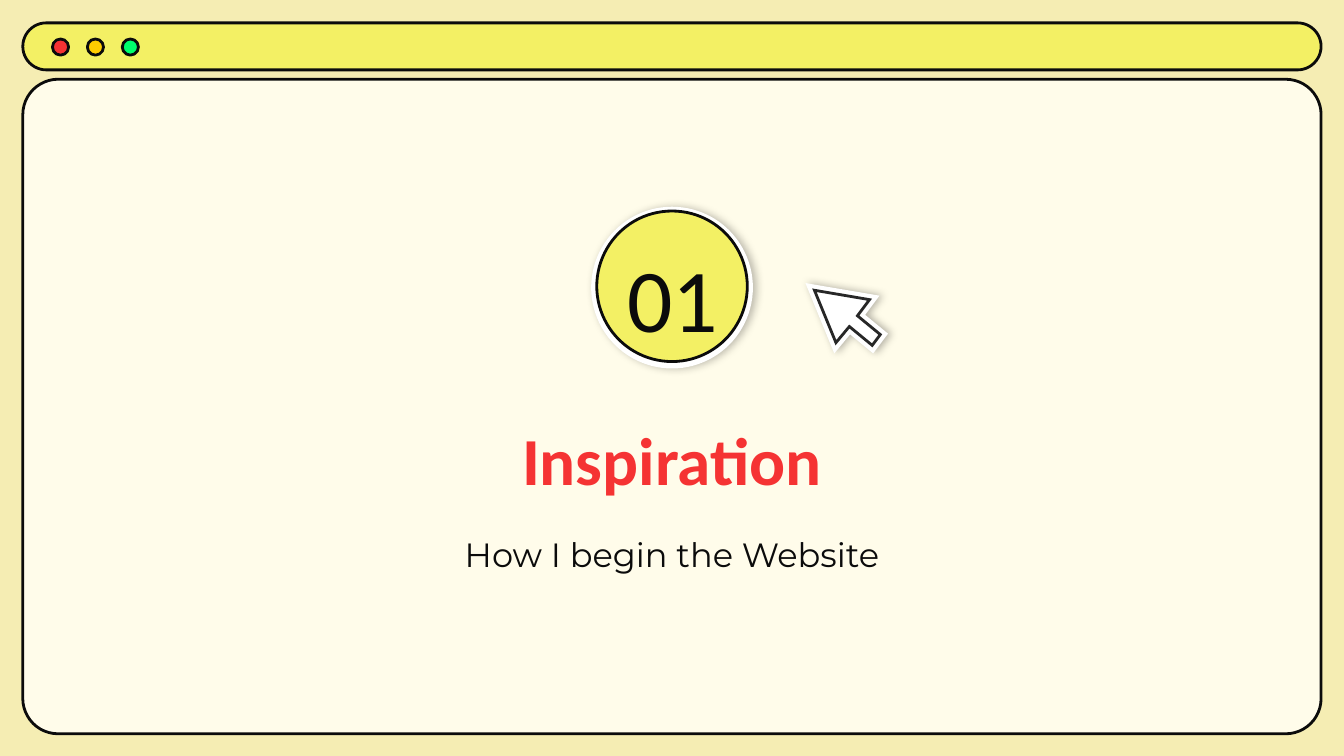
"""Build a browser-window section slide with a numbered badge and a cursor."""
import lxml.etree
import pptx
import pptx.dml.color
import pptx.enum.shapes
import pptx.enum.text
import pptx.oxml
import pptx.oxml.ns
import pptx.util

COLUMNS = 1000
CELL = pptx.util.Inches(0.01)
COLORS = {
    "backdrop": "F5EDB3",
    "page": "FFFCEA",
    "yellow": "F3F064",
    "ink": "0B0B0B",
    "red": "F53333",
    "amber": "FFCC00",
    "green": "00FF6C",
    "white": "FFFFFF",
    "cursor": "272727",
    "shadow": "000000",
}
CURSOR = [(632, 243), (622, 255), (606, 216), (647, 223),
          (638, 235), (655, 249), (649, 257)]


def rgb(name):
    """Return the named colour."""
    return pptx.dml.color.RGBColor.from_string(COLORS[name])


def paint(shape, fill, line="ink", width=1.5):
    """Give a shape a flat fill and an outline without a shadow."""
    shape.shadow.inherit = False
    shape.fill.solid()
    shape.fill.fore_color.rgb = rgb(fill)
    shape.line.color.rgb = rgb(line)
    shape.line.width = pptx.util.Pt(width)


def add_soft_shadow(shape, opacity):
    """Fill the shape's effect list with a blurred outer shadow."""
    effects = shape._element.spPr.find(pptx.oxml.ns.qn("a:effectLst"))
    shadow = lxml.etree.SubElement(
        effects, pptx.oxml.ns.qn("a:outerShdw"),
        blurRad=str(pptx.util.Pt(4.5)), dist=str(pptx.util.Pt(1.5)),
        dir="0", algn="bl", rotWithShape="0")
    color = lxml.etree.SubElement(
        shadow, pptx.oxml.ns.qn("a:srgbClr"), val=COLORS["shadow"])
    lxml.etree.SubElement(
        color, pptx.oxml.ns.qn("a:alpha"), val=str(opacity * 1000))


def add_preset(slide, kind, box, fill, line="ink", width=1.5):
    """Add a preset shape on a grid box."""
    shape = slide.shapes.add_shape(kind, *(CELL * value for value in box))
    paint(shape, fill, line, width)
    return shape


def add_bar(slide, box, fill, rounding):
    """Add a window panel with rounded corners."""
    kind = pptx.enum.shapes.MSO_SHAPE.ROUNDED_RECTANGLE
    add_preset(slide, kind, box, fill).adjustments[0] = rounding


def add_circle(slide, left, top, size, *style):
    """Add a circle of the given diameter."""
    kind = pptx.enum.shapes.MSO_SHAPE.OVAL
    return add_preset(slide, kind, (left, top, size, size), *style)


def add_cursor(slide, line, width):
    """Add the mouse pointer outline with sharp corners."""
    builder = slide.shapes.build_freeform(*CURSOR[0], scale=CELL)
    builder.add_line_segments(CURSOR[1:], close=True)
    shape = builder.convert_to_shape()
    paint(shape, "white", line, width)
    lxml.etree.SubElement(
        shape.line._get_or_add_ln(), pptx.oxml.ns.qn("a:miter"), lim="800000")
    return shape


def add_text(slide, box, text, size, font, color="ink", bold=False, anchor="BOTTOM"):
    """Add a centred line of text on a grid box."""
    shape = slide.shapes.add_textbox(*(CELL * value for value in box))
    frame = shape.text_frame
    frame.word_wrap = True
    frame.vertical_anchor = getattr(pptx.enum.text.MSO_ANCHOR, anchor)
    frame.margin_left = frame.margin_right = CELL * 10
    frame.margin_top = frame.margin_bottom = CELL * 10
    frame.text = text
    paragraph = frame.paragraphs[0]
    paragraph.alignment = pptx.enum.text.PP_ALIGN.CENTER
    run_font = paragraph.runs[0].font
    run_font.name = font
    run_font.size = pptx.util.Pt(size)
    run_font.bold = bold
    run_font.color.rgb = rgb(color)


def main():
    """Build and save the slide."""
    presentation = pptx.Presentation()
    presentation.slide_width = CELL * COLUMNS
    presentation.slide_height = presentation.slide_width * 9 // 16
    slide = presentation.slides.add_slide(presentation.slide_layouts[6])
    slide.background.fill.solid()
    slide.background.fill.fore_color.rgb = rgb("backdrop")

    margin = 17
    width = COLUMNS - 2 * margin
    add_bar(slide, (margin, 59, width, 487), "page", 0.054)
    add_bar(slide, (margin, margin, width, 35), "yellow", 0.5)
    for index, color in enumerate(("red", "amber", "green")):
        add_circle(slide, 39 + 26 * index, 29, 12, color)

    badge = 112
    badge_left = (COLUMNS - badge) // 2
    add_soft_shadow(add_circle(slide, badge_left, 158, badge, "white", "white", 6), 26)
    add_circle(slide, badge_left, 157, badge, "yellow")

    add_text(slide, (440, 170, 121, 101), "01", 48, "Calibri")
    add_text(slide, (186, 289, 628, 92), "Inspiration", 36, "Calibri", "red", True)
    add_text(slide, (214, 387, 572, 48), "How I begin the Website", 18,
             "Montserrat", anchor="TOP")

    add_soft_shadow(add_cursor(slide, "white", 6), 29)
    add_cursor(slide, "cursor", 1.5)
    presentation.save("out.pptx")


if __name__ == "__main__":
    main()
